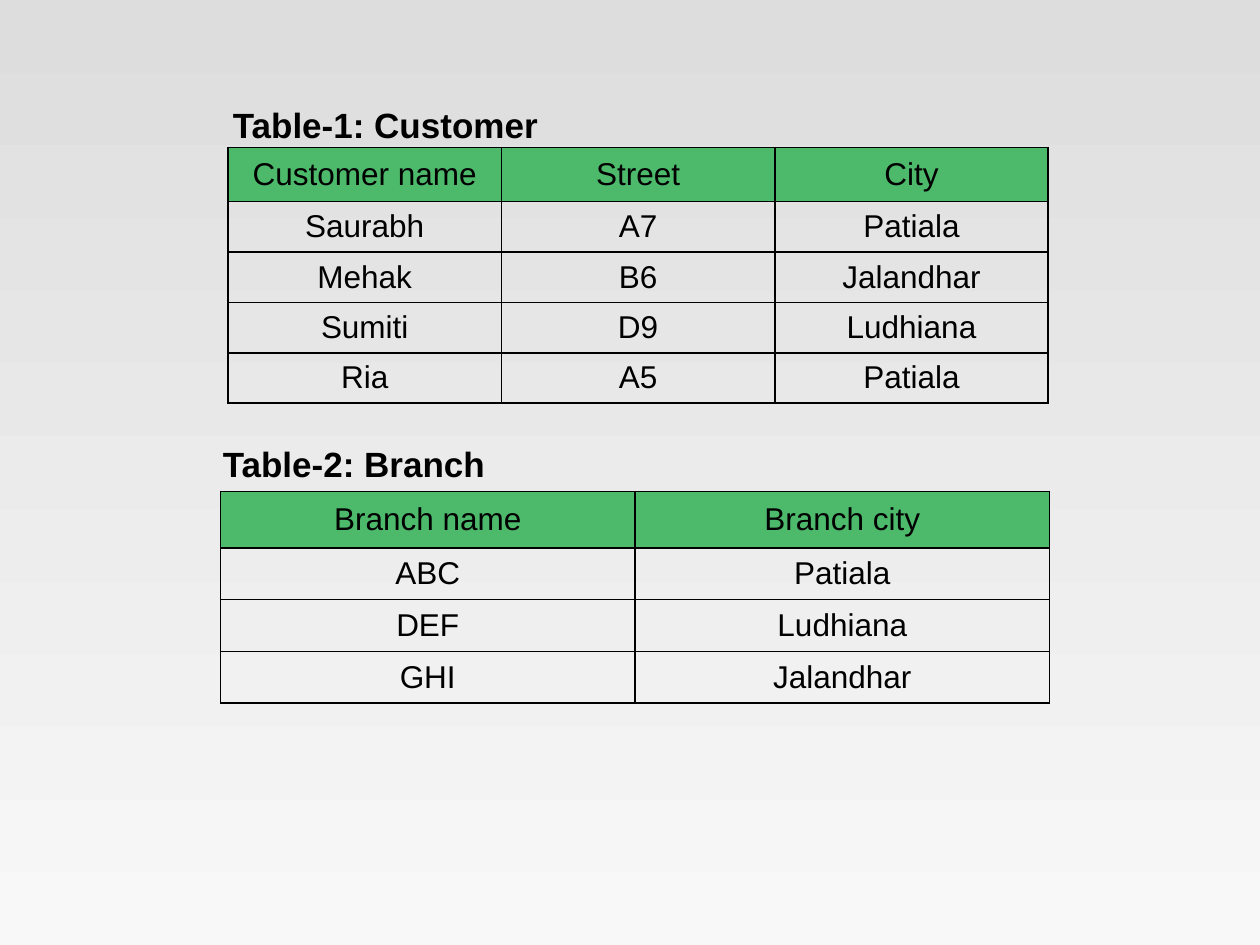
from lxml import etree
from pptx import Presentation
from pptx import util as u
from pptx.dml.color import RGBColor
from pptx.enum import text
from pptx.oxml import ns

COLORS = {
    "top": "DDDDDD",
    "bottom": "F8F8F8",
    "header": "4CB96B",
    "ink": "000000",
}
FONT = "Arial"
CUSTOMERS = [
    ["Customer name", "Street", "City"],
    ["Saurabh", "A7", "Patiala"],
    ["Mehak", "B6", "Jalandhar"],
    ["Sumiti", "D9", "Ludhiana"],
    ["Ria", "A5", "Patiala"],
]
BRANCHES = [
    ["Branch name", "Branch city"],
    ["ABC", "Patiala"],
    ["DEF", "Ludhiana"],
    ["GHI", "Jalandhar"],
]


def color(name):
    return RGBColor.from_string(COLORS[name])


def set_background(slide):
    fill = slide.background.fill
    fill.gradient()
    fill.gradient_angle = 270
    for stop, name, position in zip(fill.gradient_stops, ("top", "bottom"), (0, 1)):
        stop.color.rgb = color(name)
        stop.position = position


def format_runs(paragraph, size, bold=False):
    for run in paragraph.runs:
        run.font.name = FONT
        run.font.size = u.Pt(size)
        run.font.bold = bold
        run.font.color.rgb = color("ink")


def add_caption(slide, caption, left, top, width, wrap):
    shape = slide.shapes.add_textbox(
        u.Inches(left), u.Inches(top), u.Inches(width), u.Inches(0.44)
    )
    frame = shape.text_frame
    frame.text = caption
    frame.word_wrap = wrap
    frame.auto_size = text.MSO_AUTO_SIZE.SHAPE_TO_FIT_TEXT
    frame.vertical_anchor = text.MSO_ANCHOR.MIDDLE
    format_runs(frame.paragraphs[0], 20, bold=True)


def add_borders(cell):
    properties = cell._tc.get_or_add_tcPr()
    for side in ("a:lnL", "a:lnR", "a:lnT", "a:lnB"):
        line = etree.SubElement(properties, ns.qn(side), w=str(u.Pt(1)))
        fill = etree.SubElement(line, ns.qn("a:solidFill"))
        etree.SubElement(fill, ns.qn("a:srgbClr"), val=COLORS["ink"])


def format_cell(cell, value, is_header):
    cell.text = value
    cell.vertical_anchor = text.MSO_ANCHOR.MIDDLE
    horizontal, vertical = (0.07, 0.07) if is_header else (0.1, 0.05)
    cell.margin_left = cell.margin_right = u.Inches(horizontal)
    cell.margin_top = cell.margin_bottom = u.Inches(vertical)
    paragraph = cell.text_frame.paragraphs[0]
    paragraph.alignment = text.PP_ALIGN.CENTER
    format_runs(paragraph, 18)
    add_borders(cell)
    if is_header:
        cell.fill.solid()
        cell.fill.fore_color.rgb = color("header")
    else:
        cell.fill.background()


def add_data_table(slide, data, left, top, column_width, header_height, row_height):
    columns = len(data[0])
    height = header_height + row_height * (len(data) - 1)
    table = slide.shapes.add_table(
        len(data), columns, u.Inches(left), u.Inches(top),
        u.Inches(column_width * columns), u.Inches(height),
    ).table
    table.horz_banding = False
    for column in table.columns:
        column.width = u.Inches(column_width)
    for index, values in enumerate(data):
        is_header = index == 0
        table.rows[index].height = u.Inches(header_height if is_header else row_height)
        for cell, value in zip(table.rows[index].cells, values):
            format_cell(cell, value, is_header)


def main():
    presentation = Presentation()
    presentation.slide_width = u.Inches(10)
    presentation.slide_height = u.Inches(7.5)
    slide = presentation.slides.add_slide(presentation.slide_layouts[6])
    set_background(slide)
    add_data_table(slide, CUSTOMERS, 1.81, 1.17, 2.17, 0.43, 0.4)
    add_caption(slide, "Table-1: Customer", 1.75, 0.77, 2.64, wrap=False)
    add_data_table(slide, BRANCHES, 1.75, 3.9, 3.29, 0.45, 0.41)
    add_caption(slide, "Table-2: Branch", 1.67, 3.46, 3.94, wrap=True)
    presentation.save("out.pptx")


if __name__ == "__main__":
    main()
